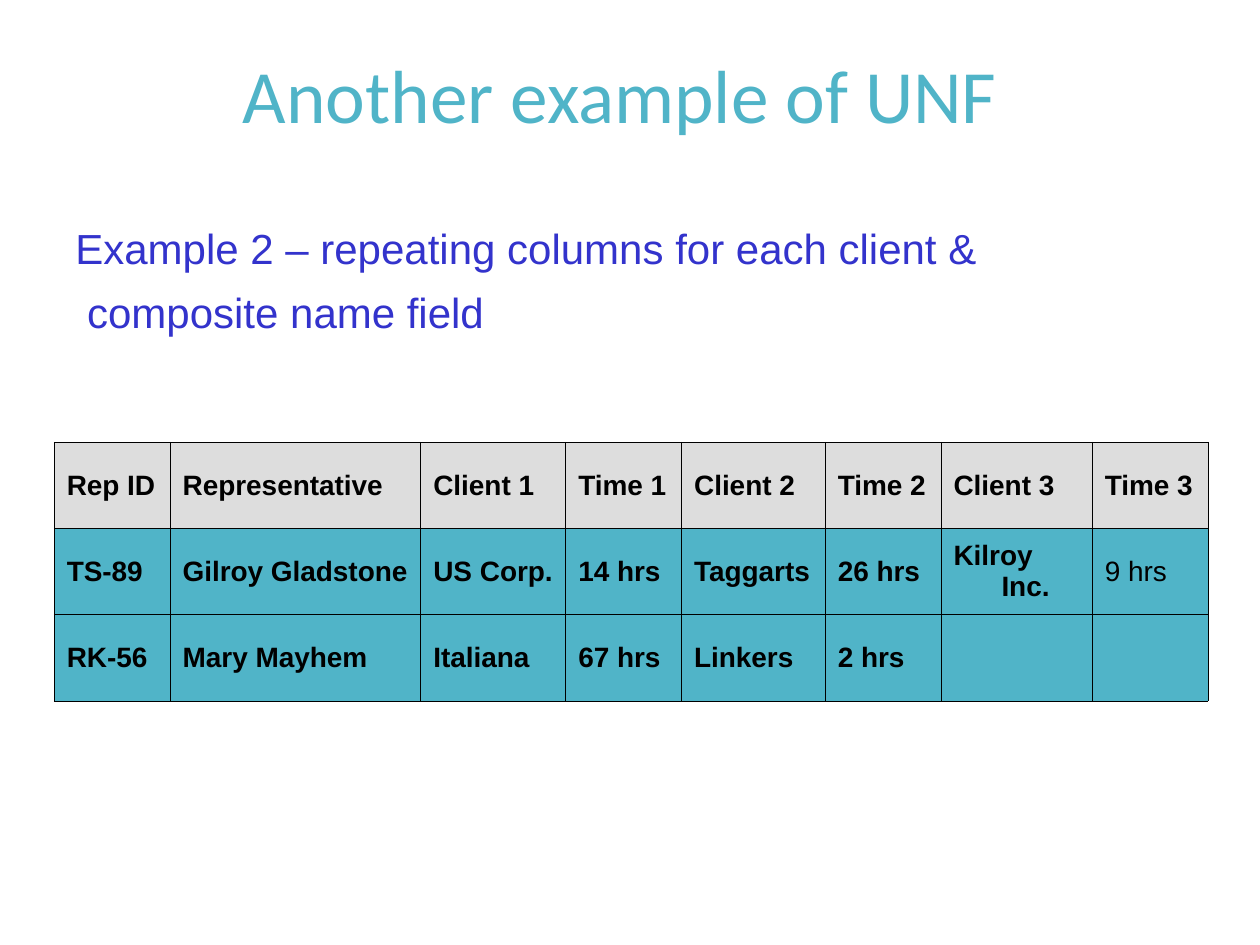
from dataclasses import dataclass

import lxml.etree
import pptx
import pptx.dml.color
import pptx.enum.text
import pptx.oxml.ns
import pptx.util
from pptx.util import Inches


@dataclass(frozen=True)
class Theme:
    teal: str = "50B4C8"
    blue: str = "3333CC"
    grey: str = "DDDDDD"
    black: str = "000000"
    title_font: str = "Calibri"
    body_font: str = "Arial"
    title_size: float = 43
    body_size: float = 24
    cell_size: float = 16
    border: float = 0.45


@dataclass(frozen=True)
class Column:
    width: float
    texts: tuple[str, str, str]


THEME = Theme()
MIDDLE = pptx.enum.text.MSO_ANCHOR.MIDDLE
COLUMNS = [
    Column(0.92, ("Rep ID", "TS-89", "RK-56")),
    Column(1.99, ("Representative", "Gilroy Gladstone", "Mary Mayhem")),
    Column(1.15, ("Client 1", "US Corp.", "Italiana")),
    Column(0.92, ("Time 1", "14 hrs", "67 hrs")),
    Column(1.14, ("Client 2", "Taggarts", "Linkers")),
    Column(0.92, ("Time 2", "26 hrs", "2 hrs")),
    Column(1.2, ("Client 3", "Kilroy Inc.", "")),
    Column(0.92, ("Time 3", "9 hrs", "")),
]
ROW_HEIGHT = 0.685
HANGING = 0.38
LIGHT_CELLS = {"9 hrs"}


def rgb(color: str) -> pptx.dml.color.RGBColor:
    return pptx.dml.color.RGBColor.from_string(color)


def style(font, name: str, size: float, color: str, bold: bool = False) -> None:
    font.name = name
    font.size = pptx.util.Pt(size)
    font.color.rgb = rgb(color)
    font.bold = bold


def add_text(slide, box: tuple[float, float, float, float], lines: list[str],
             font: str, size: float, color: str, spacing: float):
    tf = slide.shapes.add_textbox(*map(Inches, box)).text_frame
    tf.word_wrap = True
    tf.text = "\n".join(lines)
    for i, p in enumerate(tf.paragraphs):
        p.line_spacing = spacing
        p.space_before = pptx.util.Pt(6 if i else 0)
        for r in p.runs:
            style(r.font, font, size, color)
    return tf


def set_borders(cell) -> None:
    """Put the four edge lines ahead of the fill, as the schema requires."""
    qn = pptx.oxml.ns.qn
    tc_pr = cell._tc.get_or_add_tcPr()
    for i, side in enumerate("LRTB"):
        line = lxml.etree.Element(qn(f"a:ln{side}"), w=str(pptx.util.Pt(THEME.border)))
        fill = lxml.etree.SubElement(line, qn("a:solidFill"))
        lxml.etree.SubElement(fill, qn("a:srgbClr"), val=THEME.black)
        tc_pr.insert(i, line)


def fill_cell(cell, text: str, color: str) -> None:
    cell.fill.solid()
    cell.fill.fore_color.rgb = rgb(color)
    cell.vertical_anchor = MIDDLE
    set_borders(cell)
    if not text:
        return
    cell.text_frame.text = text
    p = cell.text_frame.paragraphs[0]
    p_pr = p._p.get_or_add_pPr()
    p_pr.set("marL", str(Inches(HANGING)))
    p_pr.set("indent", str(-Inches(HANGING)))
    style(p.runs[0].font, THEME.body_font, THEME.cell_size, THEME.black,
          text not in LIGHT_CELLS)


def add_client_table(slide, left: float, top: float) -> None:
    rows = len(COLUMNS[0].texts)
    width = sum(column.width for column in COLUMNS)
    table = slide.shapes.add_table(
        rows, len(COLUMNS), Inches(left), Inches(top),
        Inches(width), Inches(rows * ROW_HEIGHT)).table
    for row in table.rows:
        row.height = Inches(ROW_HEIGHT)
    for c, column in enumerate(COLUMNS):
        table.columns[c].width = Inches(column.width)
        for r, text in enumerate(column.texts):
            fill_cell(table.cell(r, c), text, THEME.teal if r else THEME.grey)


def main() -> None:
    prs = pptx.Presentation()
    prs.slide_width, prs.slide_height = Inches(10), Inches(7.5)
    s = prs.slides.add_slide(prs.slide_layouts[6])
    title = add_text(s, (1.83, 0.4, 6.92, 0.77), ["Another example of UNF"],
                     THEME.title_font, THEME.title_size, THEME.teal, 0.9)
    title.vertical_anchor = MIDDLE
    add_client_table(s, 0.43, 3.51)
    add_text(s, (0.5, 1.7, 8.58, 0.99),
             ["Example 2 – repeating columns for each client &", " composite name field"],
             THEME.body_font, THEME.body_size, THEME.blue, 1.05)
    prs.save("out.pptx")


if __name__ == "__main__":
    main()
